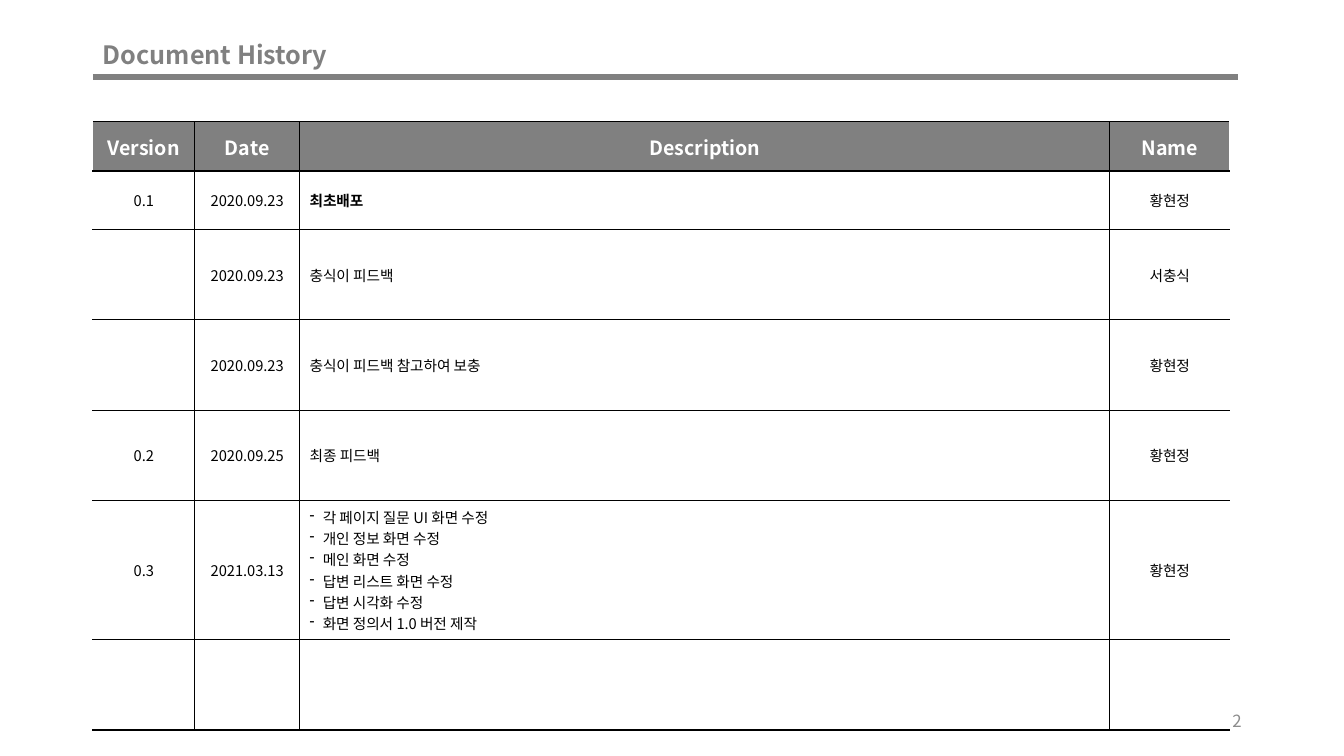
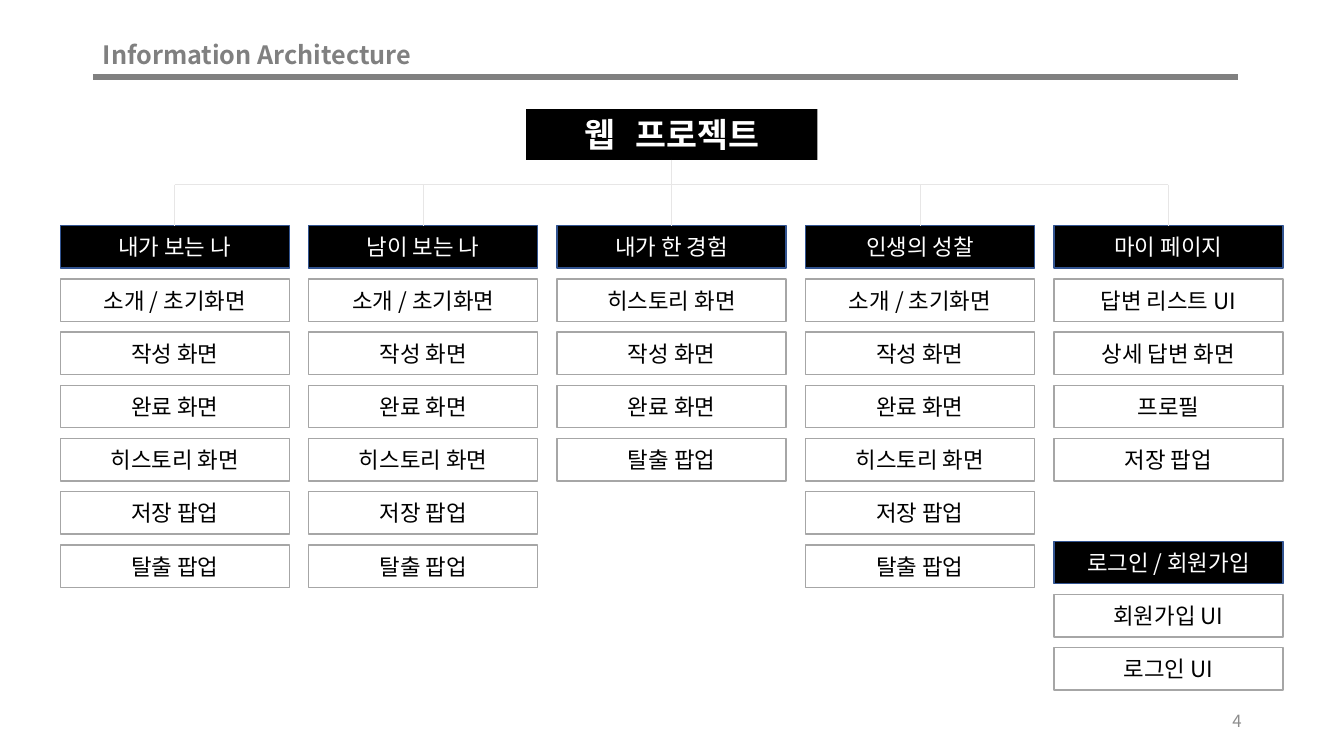
"""Build the document history and information architecture slides."""
from lxml.etree import SubElement
from pptx import Presentation
from pptx.dml.color import RGBColor
from pptx.enum.shapes import MSO_CONNECTOR, MSO_SHAPE
from pptx.enum.text import MSO_ANCHOR, PP_ALIGN
from pptx.oxml.ns import qn
from pptx.util import Cm, Pt

BLACK = RGBColor(0x00, 0x00, 0x00)
WHITE = RGBColor(0xFF, 0xFF, 0xFF)
GRAY = RGBColor(0x80, 0x80, 0x80)
NUMBER_GRAY = RGBColor(0x8C, 0x8C, 0x8C)
BOX_GRAY = RGBColor(0xA6, 0xA6, 0xA6)
PALE_GRAY = RGBColor(0xE7, 0xE6, 0xE6)
NAVY = RGBColor(0x32, 0x54, 0x91)
SANS = "Noto Sans CJK KR"
MONO = "Noto Sans Mono"

TITLE = {"name": SANS, "size": Pt(18), "bold": True, "color": GRAY}
NUMBER = {"name": SANS, "size": Pt(12), "bold": False, "color": NUMBER_GRAY}
HEADER = {"name": SANS, "size": Pt(14), "bold": True, "color": WHITE}
BODY = {"name": SANS, "size": Pt(10.5), "bold": False, "color": BLACK}
ROOT = {"name": MONO, "size": Pt(24), "bold": True, "color": WHITE}
MENU = {"name": SANS, "size": Pt(16), "bold": False, "color": WHITE}
PAGE = {**MENU, "color": BLACK}


def write(tf, lines, fmt, align=PP_ALIGN.LEFT):
    """Fill a text frame with one paragraph per line."""
    tf.word_wrap = True
    tf.vertical_anchor = MSO_ANCHOR.MIDDLE
    for i, text in enumerate(lines):
        p = tf.add_paragraph() if i else tf.paragraphs[0]
        p.alignment = align
        if len(lines) > 1:
            pPr = p._p.get_or_add_pPr()
            pPr.set("marL", str(Cm(0.33)))
            pPr.set("indent", str(-Cm(0.33)))
            SubElement(pPr, qn("a:buChar"), char="-")
        r = p.add_run()
        r.text = text
        for key, value in fmt.items():
            if key == "color":
                r.font.color.rgb = value
            else:
                setattr(r.font, key, value)
        SubElement(r._r.get_or_add_rPr(), qn("a:ea"), typeface=fmt["name"])


def add_line(s, x1, y1, x2, y2, color, width):
    """Draw a straight line between two points in centimetres."""
    c = s.shapes.add_connector(MSO_CONNECTOR.STRAIGHT, Cm(x1), Cm(y1), Cm(x2), Cm(y2))
    c.line.color.rgb = color
    c.line.width = Pt(width)
    SubElement(c._element.spPr, qn("a:effectLst"))


prs = Presentation()
prs.slide_width, prs.slide_height = Cm(33.87), Cm(19.05)

slides = []
for title, number in [("Document History", "2"), ("Information Architecture", "4")]:
    s = prs.slides.add_slide(prs.slide_layouts[6])
    tb = s.shapes.add_textbox(Cm(2.34), Cm(0.48), Cm(11.5), Cm(1.9))
    write(tb.text_frame, [title], TITLE)
    tb.text_frame.paragraphs[0].line_spacing = 0.9
    tb = s.shapes.add_textbox(Cm(23.92), Cm(17.66), Cm(7.62), Cm(1.01))
    write(tb.text_frame, [number], NUMBER, PP_ALIGN.RIGHT)
    add_line(s, 2.34, 1.94, 31.2, 1.94, GRAY, 4.5)
    slides.append(s)
history, architecture = slides

rows = [
    (1.24, "Version", "Date", ["Description"], "Name"),
    (1.47, "0.1", "2020.09.23", ["최초배포"], "황현정"),
    (2.28, "", "2020.09.23", ["충식이 피드백"], "서충식"),
    (2.28, "", "2020.09.23", ["충식이 피드백 참고하여 보충"], "황현정"),
    (2.28, "0.2", "2020.09.25", ["최종 피드백"], "황현정"),
    (3.5, "0.3", "2021.03.13", [
        "각 페이지 질문 UI 화면 수정", "개인 정보 화면 수정", "메인 화면 수정",
        "답변 리스트 화면 수정", "답변 시각화 수정", "화면 정의서 1.0 버전 제작",
    ], "황현정"),
    (2.28, "", "", [], ""),
]
widths = [2.57, 2.64, 20.42, 3.02]
table = history.shapes.add_table(
    len(rows), len(widths), Cm(2.34), Cm(3.07), Cm(sum(widths)), Cm(sum(row[0] for row in rows))
).table
table.first_row = table.horz_banding = False
for col, width in zip(table.columns, widths):
    col.width = Cm(width)
for i, (height, *values) in enumerate(rows):
    table.rows[i].height = Cm(height)
    for j, value in enumerate(values):
        cell = table.cell(i, j)
        tcPr = cell._tc.get_or_add_tcPr()
        outer = {0: "lnL", len(widths) - 1: "lnR"}.get(j)
        for side in ("lnL", "lnR", "lnT", "lnB"):
            ln = SubElement(tcPr, qn(f"a:{side}"), w=str(Pt(1)))
            fill = SubElement(ln, qn("a:solidFill"))
            SubElement(fill, qn("a:srgbClr"), val=str(WHITE if side == outer else BLACK))
        cell.fill.solid()
        cell.fill.fore_color.rgb = WHITE if i else GRAY
        cell.vertical_anchor = MSO_ANCHOR.MIDDLE
        lines = value if isinstance(value, list) else [value]
        fmt = {**BODY, "bold": value == ["최초배포"]} if i else HEADER
        align = PP_ALIGN.LEFT if i and j == 2 else PP_ALIGN.CENTER
        if any(lines):
            write(cell.text_frame, lines, fmt, align)

LEFT, TOP, BOX_W, BOX_H = 1.52, 5.69, 5.77, 1.07
COL_STEP, ROW_STEP, BUS_Y = 6.26, 1.34, 4.65
writing = ["소개 / 초기화면", "작성 화면", "완료 화면", "히스토리 화면", "저장 팝업", "탈출 팝업"]
menus = [
    ["내가 보는 나", *writing],
    ["남이 보는 나", *writing],
    ["내가 한 경험", "히스토리 화면", "작성 화면", "완료 화면", "탈출 팝업"],
    ["인생의 성찰", *writing],
    ["마이 페이지", "답변 리스트 UI", "상세 답변 화면", "프로필", "저장 팝업"],
]
groups = [(LEFT + i * COL_STEP, TOP, menu) for i, menu in enumerate(menus)]
centers = [x + BOX_W / 2 for x, y, menu in groups]
groups.append((groups[-1][0], 13.64, ["로그인 / 회원가입", "회원가입 UI", "로그인 UI"]))

boxes = [("웹 프로젝트", 13.26, 2.75, 7.34, 1.28, BLACK, None, ROOT)]
for x, y, menu in groups:
    for i, text in enumerate(menu):
        style = (None, BOX_GRAY, PAGE) if i else (BLACK, NAVY, MENU)
        boxes.append((text, x, y + i * ROW_STEP, BOX_W, BOX_H, *style))
for text, x, y, w, h, fill, outline, fmt in boxes:
    sp = architecture.shapes.add_shape(MSO_SHAPE.RECTANGLE, Cm(x), Cm(y), Cm(w), Cm(h))
    sp.shadow.inherit = False
    if fill is None:
        sp.fill.background()
    else:
        sp.fill.solid()
        sp.fill.fore_color.rgb = fill
    if outline is None:
        sp.line.fill.background()
    else:
        sp.line.color.rgb = outline
        sp.line.width = Pt(1)
    write(sp.text_frame, [text], fmt, PP_ALIGN.CENTER)

add_line(architecture, centers[2], 4.03, centers[2], BUS_Y, PALE_GRAY, 0.5)
add_line(architecture, centers[0], BUS_Y, centers[-1], BUS_Y, PALE_GRAY, 0.5)
for x in centers:
    add_line(architecture, x, BUS_Y, x, TOP, PALE_GRAY, 0.5)

prs.save("out.pptx")
